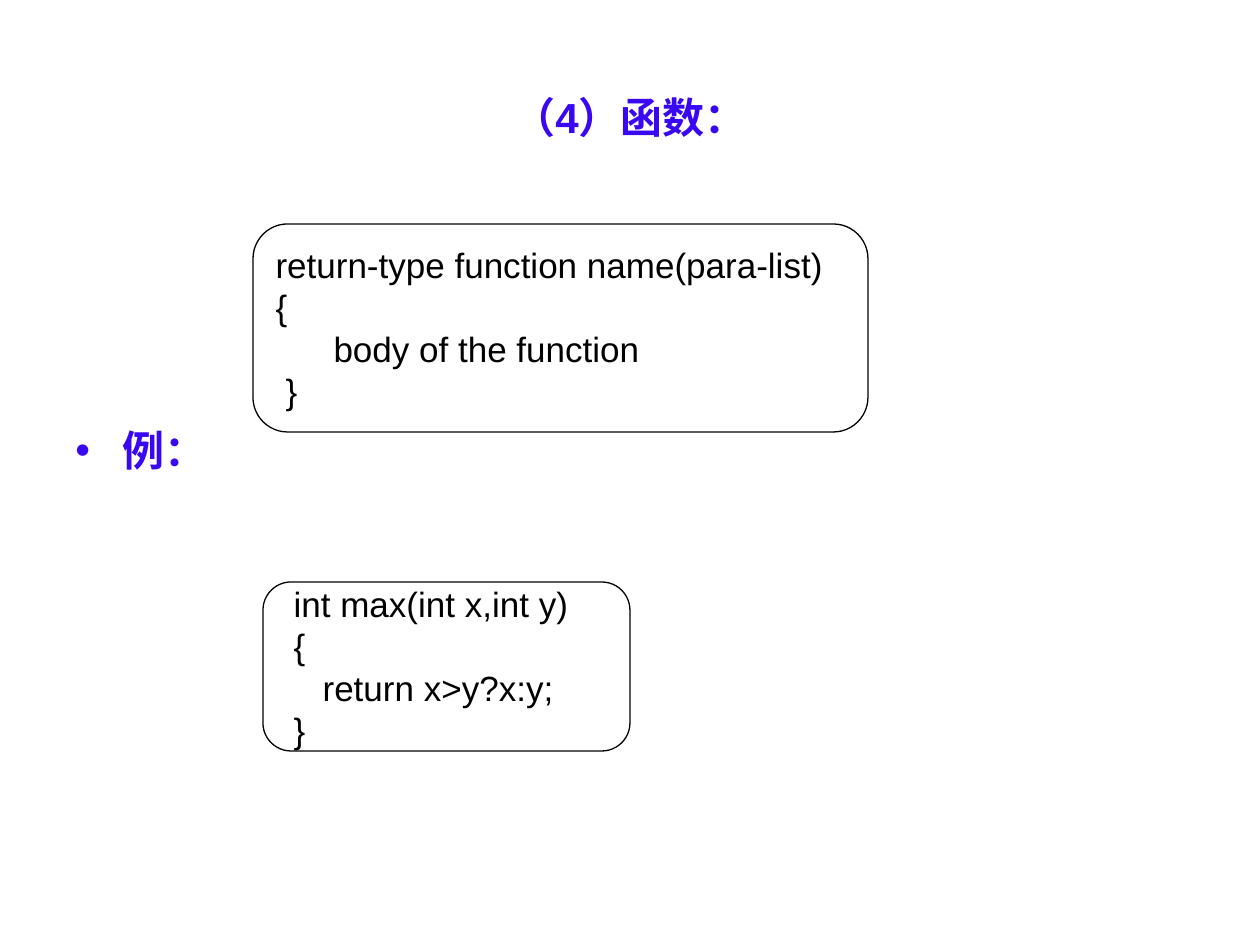
from typing import NamedTuple

from lxml.etree import SubElement
from pptx import Presentation
from pptx.dml.color import RGBColor
from pptx.enum.shapes import MSO_SHAPE
from pptx.enum.text import MSO_ANCHOR, PP_ALIGN
from pptx.oxml.ns import qn
from pptx.util import Emu, Pt

SCALE = 914400 // 126
BLUE, BLACK, WHITE = "3907F1", "000000", "FFFFFF"


class Box(NamedTuple):
    """Place and size in pixels."""
    left: int
    top: int
    width: int
    height: int


class Line(NamedTuple):
    """A line of code and its indent in pixels."""
    text: str
    indent: int = 0


class Code(NamedTuple):
    """A rounded frame with lines of code."""
    box: Box
    lines: tuple[Line, ...]


TITLE = Box(63, 38, 1134, 157)
BODY = Box(63, 220, 1134, 624)
CODES = (
    Code(Box(253, 224, 615, 208), (
        Line("return-type function name(para-list)"),
        Line("{"),
        Line("body of the function", 58),
        Line("}", 10),
    )),
    Code(Box(263, 582, 367, 169), (
        Line("int max(int x,int y)", 10),
        Line("{", 10),
        Line("return x>y?x:y;", 39),
        Line("}", 10),
    )),
)


def px(count: int) -> Emu:
    """Turn pixels into EMU."""
    return Emu(count * SCALE)


def color(value: str) -> RGBColor:
    """Turn a hex string into a colour."""
    return RGBColor.from_string(value)


def place(box: Box) -> list[Emu]:
    """Give the four lengths of a box in EMU."""
    return [px(side) for side in box]


def write(para, text: str, size: int, tint: str, bold: bool = False) -> None:
    """Add one run to a paragraph."""
    run = para.add_run()
    run.text = text
    font = run.font
    font.name, font.size, font.bold = "Arial", Pt(size), bold
    font.color.rgb = color(tint)


def indent(para, left: int, first: int = 0) -> None:
    """Set the left margin and first-line indent."""
    props = para._p.get_or_add_pPr()
    props.set("marL", str(px(left)))
    props.set("indent", str(px(first)))


def bullet(para, tint: str) -> None:
    """Give a paragraph a round, coloured bullet."""
    indent(para, 47, -47)
    props = para._p.get_or_add_pPr()
    SubElement(SubElement(props, qn("a:buClr")), qn("a:srgbClr"), val=tint)
    SubElement(props, qn("a:buFont"), typeface="Arial")
    SubElement(props, qn("a:buChar"), char="•")


def label(slide, box: Box, text: str):
    """Add a text box with one bold heading."""
    frame = slide.shapes.add_textbox(*place(box)).text_frame
    frame.word_wrap = True
    write(frame.paragraphs[0], text, 24, BLUE, True)
    return frame


def draw(slide, code: Code) -> None:
    """Draw a rounded frame with its code."""
    shape = slide.shapes.add_shape(MSO_SHAPE.ROUNDED_RECTANGLE, *place(code.box))
    shape.shadow.inherit = False
    shape.fill.solid()
    shape.fill.fore_color.rgb = color(WHITE)
    shape.line.color.rgb = color(BLACK)
    shape.line.width = Pt(0.74)
    frame = shape.text_frame
    frame.word_wrap = True
    frame.vertical_anchor = MSO_ANCHOR.MIDDLE
    for rank, line in enumerate(code.lines):
        para = frame.add_paragraph() if rank else frame.paragraphs[0]
        para.alignment = PP_ALIGN.LEFT
        indent(para, line.indent)
        write(para, line.text, 20, BLACK)


def main() -> None:
    """Build and save the slide."""
    deck = Presentation()
    deck.slide_width, deck.slide_height = px(1260), px(945)
    slide = deck.slides.add_slide(deck.slide_layouts[6])
    title = label(slide, TITLE, "（4）函数：")
    title.vertical_anchor = MSO_ANCHOR.MIDDLE
    title.paragraphs[0].alignment = PP_ALIGN.CENTER
    body = label(slide, BODY, "例：")
    body.margin_top = px(205)
    bullet(body.paragraphs[0], BLUE)
    for code in CODES:
        draw(slide, code)
    deck.save("out.pptx")


main()
